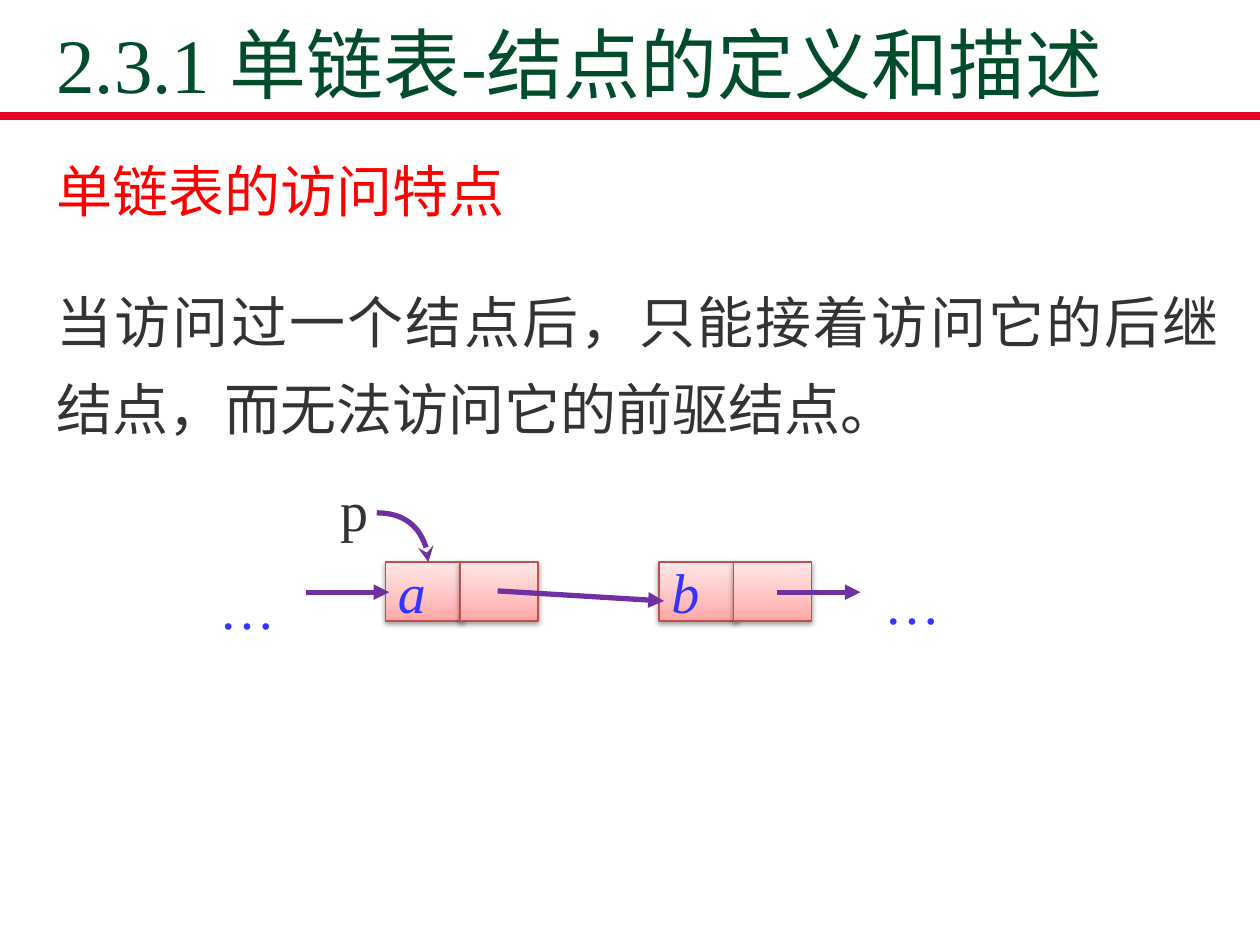
from dataclasses import dataclass
from typing import Optional

from lxml import etree
from pptx import Presentation
from pptx.dml.color import RGBColor
from pptx.enum import shapes, text
from pptx.oxml import parse_xml
from pptx.oxml.ns import nsdecls, qn
from pptx.util import Pt

FONT = "Times New Roman"
GREEN, RED, RULE_RED = "004C2B", "FF0000", "E60223"
GREY, BLUE, PURPLE, BORDER = "333333", "3333FF", "7030A0", "C0504D"
GRADIENT = ((0, "FFA6A5"), (35, "FFC0BF"), (100, "FFE7E7"))
CELL_WIDTH, CELL_HEIGHT, CELL_STEP = 44.64, 33.84, 42.48
NODE_TOP = 321.12
ARROW_Y = 338.4


@dataclass
class Label:
    words: str
    left: float
    top: float
    width: float
    height: float
    color: str
    size: float = 32
    inset_top: float = 3.6
    line_spacing: Optional[float] = None
    align: text.PP_ALIGN = text.PP_ALIGN.LEFT
    anchor: text.MSO_ANCHOR = text.MSO_ANCHOR.TOP


@dataclass
class Node:
    value: str
    left: float


@dataclass
class Arrow:
    x1: float
    y1: float
    x2: float
    y2: float


TITLE = Label("2.3.1 单链表-结点的定义和描述", 25.2, 18.72, 686.88, 46.8, GREEN,
              size=44, anchor=text.MSO_ANCHOR.BOTTOM)
BODY = Label("当访问过一个结点后，只能接着访问它的后继结点，而无法访问它的前驱结点。",
             25.2, 146.16, 678.96, 108, GREY, inset_top=6.6,
             line_spacing=1.3, align=text.PP_ALIGN.JUSTIFY)
HEADING = Label("单链表的访问特点", 25.2, 85.68, 316.8, 46.08, RED)
BEFORE = Label("…", 118.08, 321.12, 47.52, 54, BLUE, inset_top=6.6)
AFTER = Label("…", 498.24, 318.24, 47.52, 54, BLUE, inset_top=6.6)
POINTER = Label("p", 187.2, 264.96, 35.28, 54, GREY, inset_top=6.6)
NODES = (Node("a", 220.32), Node("b", 376.56))
LINKS = (
    Arrow(284.4, 337.68, 379.44, 343.44),
    Arrow(444.24, ARROW_Y, 491.76, ARROW_Y),
    Arrow(174.96, ARROW_Y, 222.48, ARROW_Y),
)


def rgb(color: str) -> RGBColor:
    return RGBColor.from_string(color)


def style_text(paragraph, words: str, size: float, color: str) -> None:
    paragraph.text = words
    font = paragraph.font
    font.name, font.size = FONT, Pt(size)
    font.color.rgb = rgb(color)


def add_label(parent, label: Label) -> None:
    box = parent.add_textbox(Pt(label.left), Pt(label.top),
                             Pt(label.width), Pt(label.height))
    frame = box.text_frame
    frame.word_wrap = True
    frame.margin_top = Pt(label.inset_top)
    frame.vertical_anchor = label.anchor
    paragraph = frame.paragraphs[0]
    paragraph.alignment = label.align
    if label.line_spacing:
        paragraph.line_spacing = label.line_spacing
    style_text(paragraph, label.words, label.size, label.color)


def style_line(shape, color: str, width: float, head: str = "") -> None:
    """Colour an outline and optionally put an arrowhead at its end."""
    shape.line.color.rgb = rgb(color)
    shape.line.width = Pt(width)
    if head:
        etree.SubElement(shape.line._get_or_add_ln(), qn("a:tailEnd"), type=head)


def add_line(parent, route: Arrow, color: str, width: float, head: str = "") -> None:
    line = parent.add_connector(shapes.MSO_CONNECTOR.STRAIGHT, Pt(route.x1),
                                Pt(route.y1), Pt(route.x2), Pt(route.y2))
    style_line(line, color, width, head)
    etree.SubElement(line._element.spPr, qn("a:effectLst"))


def add_cell(parent, left: float, value: str = "") -> None:
    cell = parent.add_shape(shapes.MSO_SHAPE.RECTANGLE, Pt(left), Pt(NODE_TOP),
                            Pt(CELL_WIDTH), Pt(CELL_HEIGHT))
    stops = "".join(f'<a:gs pos="{pos * 1000}"><a:srgbClr val="{color}"/></a:gs>'
                    for pos, color in GRADIENT)
    properties = cell._element.spPr
    properties.append(parse_xml(
        f'<a:gradFill {nsdecls("a")}><a:gsLst>{stops}</a:gsLst>'
        '<a:lin ang="16200000" scaled="0"/></a:gradFill>'))
    style_line(cell, BORDER, 0.75)
    properties.append(parse_xml(
        f'<a:effectLst {nsdecls("a")}><a:outerShdw blurRad="{Pt(3.1)}" '
        f'dist="{Pt(1.6)}" dir="5400000" rotWithShape="0"><a:srgbClr val="000000">'
        '<a:alpha val="38000"/></a:srgbClr></a:outerShdw></a:effectLst>'))
    if value:
        frame = cell.text_frame
        frame.word_wrap = False
        frame.vertical_anchor = text.MSO_ANCHOR.MIDDLE
        paragraph = frame.paragraphs[0]
        paragraph.alignment = text.PP_ALIGN.LEFT
        style_text(paragraph, value, 32, BLUE)
        paragraph.font.italic = True


def add_curved_arrow(parent, left: float, top: float, width: float, height: float) -> None:
    """Draw a quarter ellipse from top left to bottom right."""
    builder = parent.build_freeform(Pt(left), Pt(top))
    builder.add_line_segments([(Pt(left + width), Pt(top + height))], close=False)
    curve = builder.convert_to_shape()
    curve.shadow.inherit = False
    curve.fill.background()
    style_line(curve, PURPLE, 3, "stealth")
    segment = next(curve._element.iter(qn("a:lnTo")))
    segment.tag = qn("a:cubicBezTo")
    controls = ((0.55 * width, 0), (width, 0.45 * height))
    for index, (x, y) in enumerate(controls):
        point = etree.Element(qn("a:pt"), x=str(Pt(x)), y=str(Pt(y)))
        segment.insert(index, point)


def main() -> None:
    presentation = Presentation()
    presentation.slide_width, presentation.slide_height = Pt(720), Pt(540)
    slide = presentation.slides.add_slide(presentation.slide_layouts[6])
    canvas = slide.shapes

    add_line(canvas, Arrow(0, 66.24, 720, 66.24), RULE_RED, 4.5)
    for label in (TITLE, BODY, HEADING):
        add_label(canvas, label)
    for node in NODES:
        add_cell(canvas, node.left, node.value)
        add_cell(canvas, node.left + CELL_STEP)
    for label in (BEFORE, AFTER):
        add_label(canvas, label)

    pointer = canvas.add_group_shape().shapes
    add_curved_arrow(pointer, 215.28, 293.04, 29.52, 28.08)
    add_label(pointer, POINTER)
    for link in LINKS:
        add_line(canvas, link, PURPLE, 3, "triangle")

    presentation.save("out.pptx")


if __name__ == "__main__":
    main()
